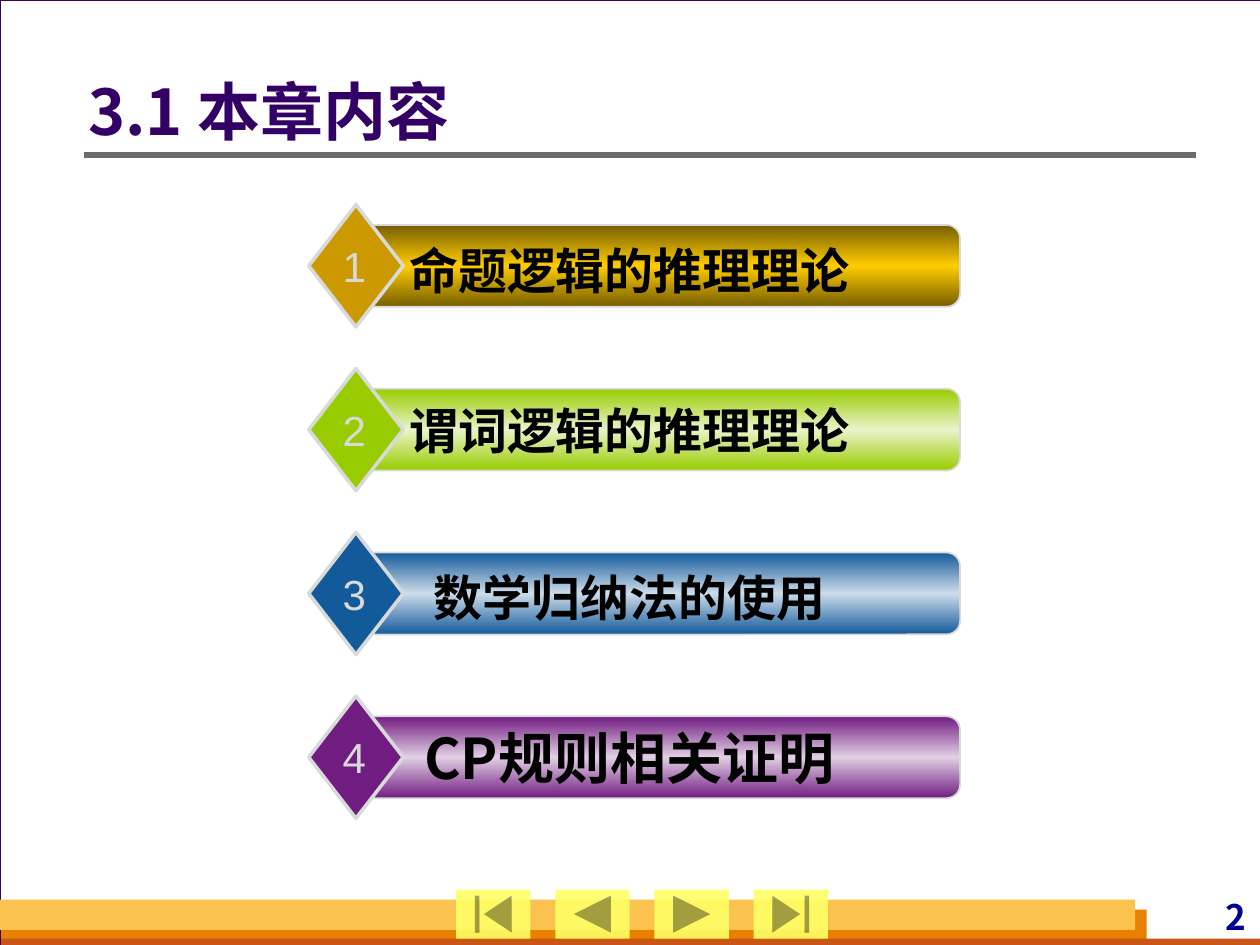
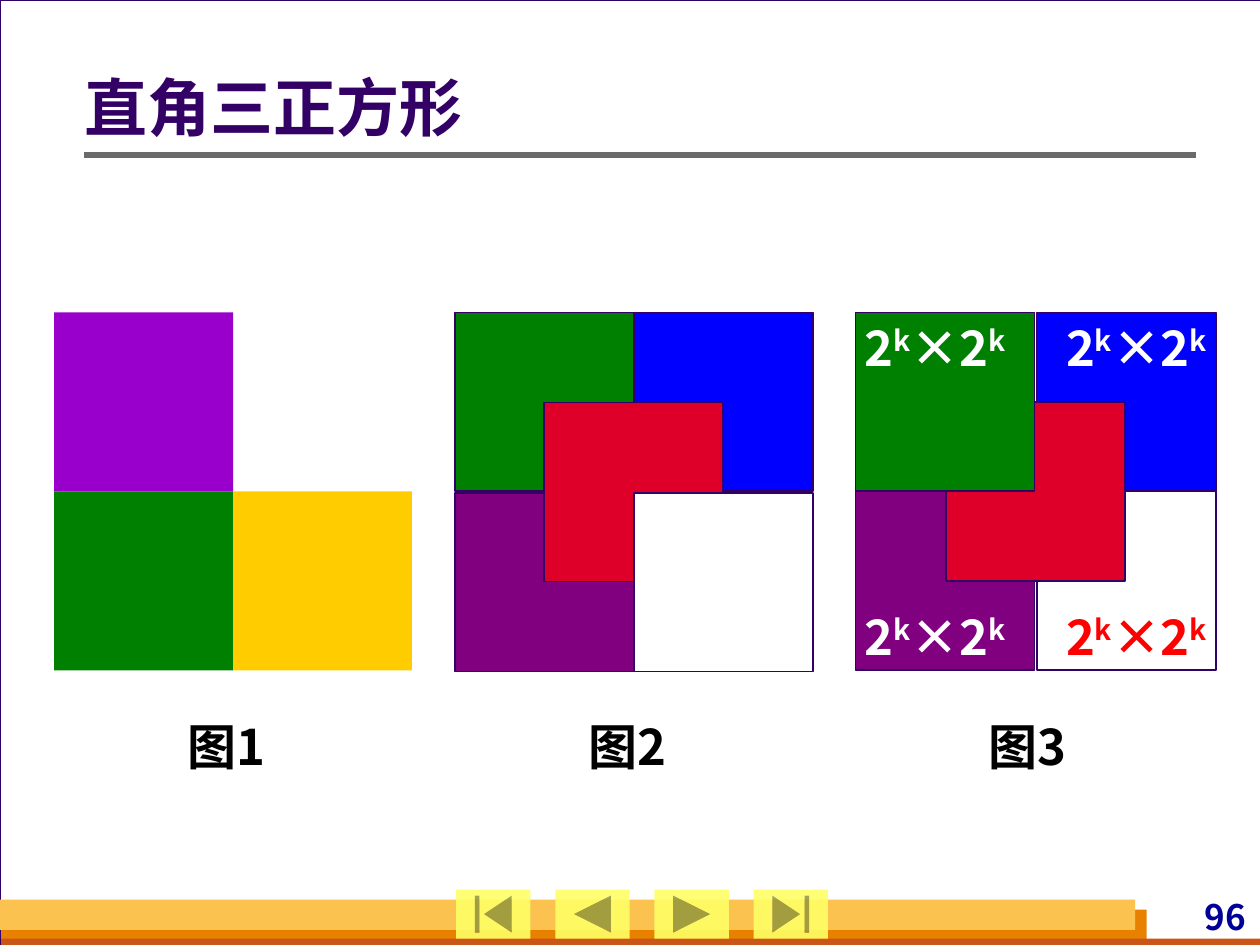
import copy

import lxml.etree
import pptx
import pptx.dml.color
import pptx.enum.shapes
import pptx.enum.text
import pptx.oxml.ns
import pptx.util

RGB = pptx.dml.color.RGBColor.from_string
KIND = pptx.enum.shapes.MSO_SHAPE
ALIGN = pptx.enum.text.PP_ALIGN
ANCHOR = pptx.enum.text.MSO_ANCHOR
qn = pptx.oxml.ns.qn
CJK = "Noto Sans CJK SC"

HUES = {
    "back": "D8DADA", "white": "FFFFFF", "black": "000000", "ink": "330066",
    "orange": "E88000", "rust": "C95616", "sand": "FCC24F", "rule": "6B6B6B",
    "page": "000099", "key": "FFFF66", "brown": "765E00", "gold": "FFCC00",
    "ochre": "CC9900", "lime": "99CC00", "mint": "E9F4C9", "blue": "135A9A",
    "sky": "CDDCEA", "plum": "711C81", "mauve": "E1CFE4", "violet": "9900CC",
    "green": "008000", "pure": "0000FF", "purple": "800080", "red": "DF0029",
    "bright": "FF0000",
}

deck = pptx.Presentation()
deck.slide_width = pptx.util.Inches(10)
deck.slide_height = pptx.util.Inches(7.5)
COL = deck.slide_width / 100
ROW = deck.slide_height / 75


def draw(slide, kind, x, y, w, h, fill, line=None, width=1):
    """Add a preset shape; x and w count columns, y and h count rows."""
    shape = slide.shapes.add_shape(
        kind, round(x * COL), round(y * ROW), round(w * COL), round(h * ROW))
    shape.shadow.inherit = False
    shape.fill.solid()
    shape.fill.fore_color.rgb = RGB(HUES[fill])
    if line:
        shape.line.color.rgb = RGB(HUES[line])
        shape.line.width = pptx.util.Pt(width)
    else:
        shape.line.fill.background()
    return shape


def write(slide, text, x, y, w, h, size, hue, align=ALIGN.LEFT, face=CJK,
          anchor=ANCHOR.TOP, wrap=True, inset=(1, 0.5, 1, 0.5)):
    """Add a text box; a ^ in the text turns the next letter into a superscript."""
    box = slide.shapes.add_textbox(
        round(x * COL), round(y * ROW), round(w * COL), round(h * ROW))
    frame = box.text_frame
    frame.word_wrap = wrap
    frame.vertical_anchor = anchor
    frame.margin_left, frame.margin_top, frame.margin_right, frame.margin_bottom = (
        round(gap * COL) for gap in inset)
    para = frame.paragraphs[0]
    para.alignment = align
    para.font.size = pptx.util.Pt(size)
    para.font.bold = face == CJK
    para.font.color.rgb = RGB(HUES[hue])
    para.font.name = face
    base = para._p.pPr.find(qn("a:defRPr"))
    lxml.etree.SubElement(base, qn("a:ea"), typeface=face)
    head, *tails = text.split("^")
    para.add_run().text = head
    for tail in tails:
        power = para.add_run()
        power.text = tail[0]
        power._r.get_or_add_rPr().set("baseline", "30000")
        if tail[1:]:
            para.add_run().text = tail[1:]
    return para


# Frame, footer, buttons and title of every slide
bands = [(0.1, 72.2, 90.9, 2.8, "orange"), (0.1, 74.5, 100, 0.8, "rust"),
         (0, 71.4, 90.1, 2.4, "sand")]
keys = [KIND.ACTION_BUTTON_BEGINNING, KIND.ACTION_BUTTON_BACK_OR_PREVIOUS,
        KIND.ACTION_BUTTON_FORWARD_OR_NEXT, KIND.ACTION_BUTTON_END]
heads = [("3.1 本章内容", "2", 7, 5.2, 86.8, 7.8),
         ("直角三正方形", "96", 6.7, 3.8, 88.2, 10.1)]

for title, page, x, y, w, h in heads:
    slide = deck.slides.add_slide(deck.slide_layouts[6])
    slide.background.fill.solid()
    slide.background.fill.fore_color.rgb = RGB(HUES["back"])
    draw(slide, KIND.RECTANGLE, 0, 0, 100.1, 75, "white", "ink", 0.75)
    for band in bands:
        draw(slide, KIND.RECTANGLE, *band)
    write(slide, page, 88.6, 71.1, 10.7, 3.3, 20, "page", ALIGN.RIGHT,
          inset=(0.4, 0, 0.4, 0))
    rule = slide.shapes.add_connector(
        pptx.enum.shapes.MSO_CONNECTOR.STRAIGHT, round(6.7 * COL),
        round(12.3 * ROW), round(94.9 * COL), round(12.3 * ROW))
    rule.line.color.rgb = RGB(HUES["rule"])
    rule.line.width = pptx.util.Pt(3)
    lxml.etree.SubElement(rule._element.spPr, qn("a:effectLst"))
    for i, kind in enumerate(keys):
        key = draw(slide, kind, 36.2 + 7.87 * i, 70.6, 5.9, 3.9, "key")
        tint = key._element.spPr.find(".//" + qn("a:srgbClr"))
        lxml.etree.SubElement(tint, qn("a:alpha"), val="90000")
    para = write(slide, title, x, y, w, h, 36, "ink", anchor=ANCHOR.MIDDLE,
                 inset=(0, 0.5, 1, 0.5))
    para.line_spacing = 0.9

menu, tiling = deck.slides

# Chapter menu: text, size, drop of the text, gem, edge and middle of the bar
topics = [("命题逻辑的推理理论", 28, 0.3, "ochre", "brown", "gold"),
          ("谓词逻辑的推理理论", 28, 0, "lime", "lime", "mint"),
          ("数学归纳法的使用", 28, 0.3, "blue", "blue", "sky"),
          ("CP规则相关证明", 32, 0, "plum", "plum", "mauve")]
for i, (topic, size, drop, gem, edge, glow) in enumerate(topics):
    mid = 21.1 + 13 * i
    bar = draw(menu, KIND.ROUNDED_RECTANGLE, 28.7, mid - 3.25, 47.5, 6.5,
               edge, "back")
    bar.fill.gradient()
    bar.fill.gradient_angle = 90
    first = bar._element.spPr.find(".//" + qn("a:gs"))
    first.addnext(copy.deepcopy(first))
    for stop, hue, place in zip(bar.fill.gradient_stops, (edge, glow, edge),
                                (0, 0.5, 1)):
        stop.color.rgb = RGB(HUES[hue])
        stop.position = place
    draw(menu, KIND.DIAMOND, 24.5, mid - 4.85, 7.5, 9.7, gem, "back", 2)
    write(menu, topic, 31.2, mid + drop - 3.2, 37.5, 6.4, size, "black",
          ALIGN.CENTER, anchor=ANCHOR.MIDDLE)
    write(menu, str(i + 1), 26.2, mid - 2.5, 3.8, 5, 24, "back",
          ALIGN.CENTER, "Arial", wrap=False)

# Tilings: outline, steps across and down, then tiles from back to front
SIDE, TOP = 14.2, 24.8
plans = [
    (None, 14.2, 14.2, [(0, 0, "violet"), (0, 1, "green"), (1, 1, "gold")]),
    ("ink", 14.2, 14.3, [(1, 0, "pure"), (0, 0, "green"), (0, 1, "purple"),
                         (0.5, 0.5, "red"), (1, 1, "white")]),
    ("ink", 14.4, 14.2, [(1, 0, "pure"), (0, 1, "purple"), (1, 1, "white"),
                         (0.5, 0.5, "red"), (0, 0, "green")]),
]
for i, (line, over, down, tiles) in enumerate(plans):
    left = 4.3 + 31.8 * i
    for c, r, hue in tiles:
        draw(tiling, KIND.RECTANGLE, left + c * over, TOP + r * down,
             SIDE, SIDE, hue, line)
    write(tiling, f"图{i + 1}", left + 9.6, 56.4, 9.1, 5.7, 28, "black",
          wrap=False)

for c, r, hue in [(1, 1, "bright"), (0, 1, "white"), (0, 0, "white"),
                  (1, 0, "white")]:
    write(tiling, "2^k×2^k", left + 16 * c, TOP + 22.9 * r, 12.6, 5.5, 28,
          hue, ALIGN.CENTER, inset=(0.4,) * 4)

deck.save("out.pptx")
